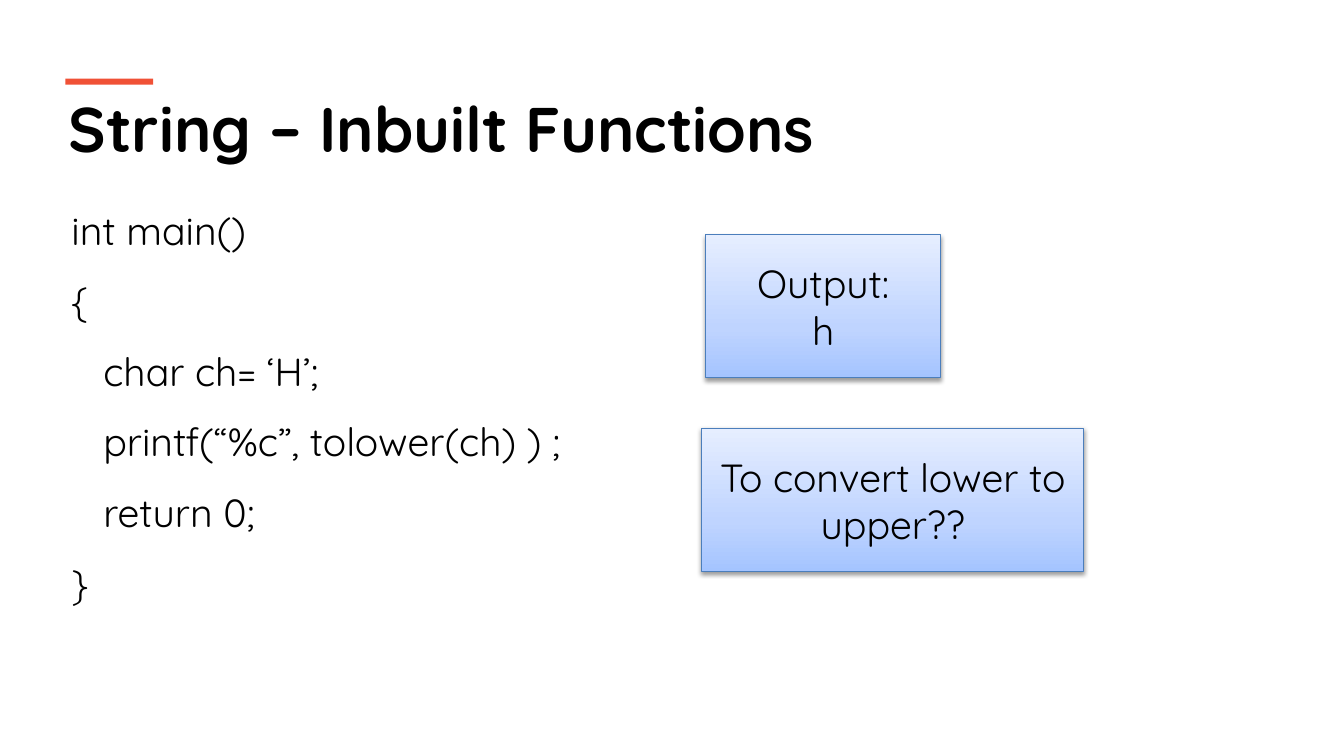
from copy import deepcopy

from lxml import etree
from pptx import Presentation
from pptx.dml.color import RGBColor
from pptx.enum.shapes import MSO_SHAPE as Shape
from pptx.enum.text import MSO_ANCHOR as Anchor, PP_ALIGN as Align
from pptx.oxml import parse_xml
from pptx.oxml.ns import qn
from pptx.util import Inches, Pt

FONT = "Quicksand"
BODY_SIZE = 28
CARD_STOPS = [(0, "A4C4FF"), (0.35, "BFD4FF"), (1, "E6EEFF")]
CODE = [
    "int main()",
    "{",
    "   char ch= ‘H’;",
    "   printf(“%c”, tolower(ch) ) ;",
    "   return 0;",
    "}",
]
CARDS = [
    ((7, 2.33, 2.33, 1.42), ["Output:", "h"]),
    ((6.96, 4.25, 3.79, 1.42), ["To convert lower to upper??"]),
]
CARD_SHADOW = (
    '<a:effectLst xmlns:a="http://schemas.openxmlformats.org/drawingml/2006/main">'
    '<a:outerShdw blurRad="40000" dist="20000" dir="5400000" rotWithShape="0">'
    '<a:srgbClr val="000000"><a:alpha val="38000"/></a:srgbClr>'
    '</a:outerShdw></a:effectLst>'
)


def color(value):
    return RGBColor.from_string(value)


def inches(box):
    return [Inches(length) for length in box]


def write(frame, lines, size, bold=False, align=Align.LEFT, spacing=1.0):
    frame.word_wrap = True
    frame.text = "\n".join(lines)
    for paragraph in frame.paragraphs:
        paragraph.alignment = align
        paragraph.line_spacing = spacing
        for run in paragraph.runs:
            run.font.name = FONT
            run.font.size = Pt(size)
            run.font.bold = bold
            run.font.color.rgb = color("000000")


def add_heading(slide, box):
    left, top, width, height = box
    accent = slide.shapes.add_shape(
        Shape.RECTANGLE, *inches((left + 0.07, top - 0.06, 0.87, 0.06)))
    accent.shadow.inherit = False
    accent.fill.solid()
    accent.fill.fore_color.rgb = color("F05136")
    accent.line.fill.background()
    title = slide.shapes.add_textbox(*inches(box))
    write(title.text_frame, ["String – Inbuilt Functions"], 45, bold=True)


def add_code(slide, box):
    listing = slide.shapes.add_textbox(*inches(box))
    write(listing.text_frame, CODE, BODY_SIZE, spacing=1.5)


def add_card(slide, box, lines):
    card = slide.shapes.add_shape(Shape.RECTANGLE, *inches(box))
    card.fill.gradient()
    card.fill.gradient_angle = 90
    properties = card._element.spPr
    stop_list = properties.find(".//" + qn("a:gsLst"))
    stop_list.append(deepcopy(stop_list[-1]))
    for stop, (position, value) in zip(card.fill.gradient_stops, CARD_STOPS):
        stop.position = position
        stop.color.rgb = color(value)
    card.line.color.rgb = color("4B7EBC")
    card.line.width = Pt(0.75)
    properties.append(parse_xml(CARD_SHADOW))
    card.text_frame.vertical_anchor = Anchor.MIDDLE
    write(card.text_frame, lines, BODY_SIZE, align=Align.CENTER)


def main():
    deck = Presentation()
    deck.slide_width, deck.slide_height = inches((13.33, 7.5))
    slide = deck.slides.add_slide(deck.slide_layouts[6])
    add_heading(slide, (0.58, 0.84, 12.18, 0.86))
    add_code(slide, (0.61, 1.76, 12.14, 5.05))
    for box, lines in CARDS:
        add_card(slide, box, lines)
    deck.save("out.pptx")


if __name__ == "__main__":
    main()
